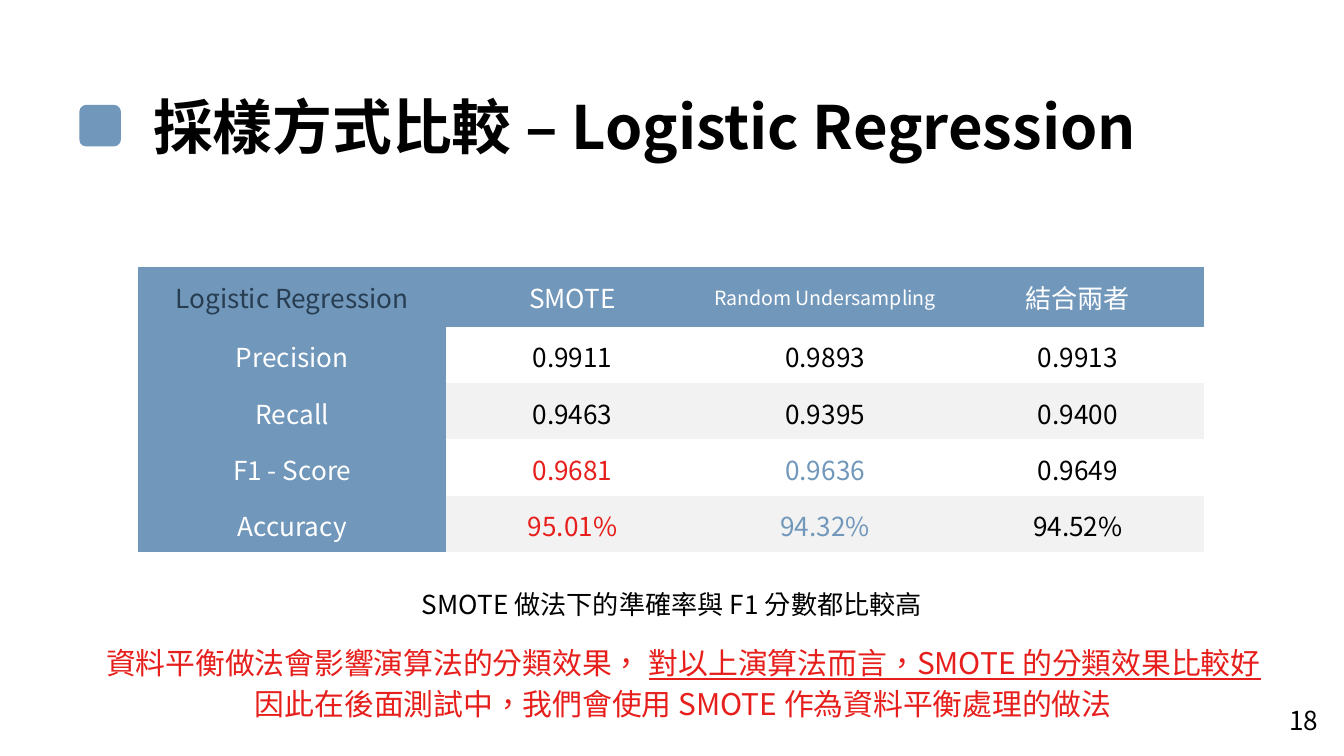
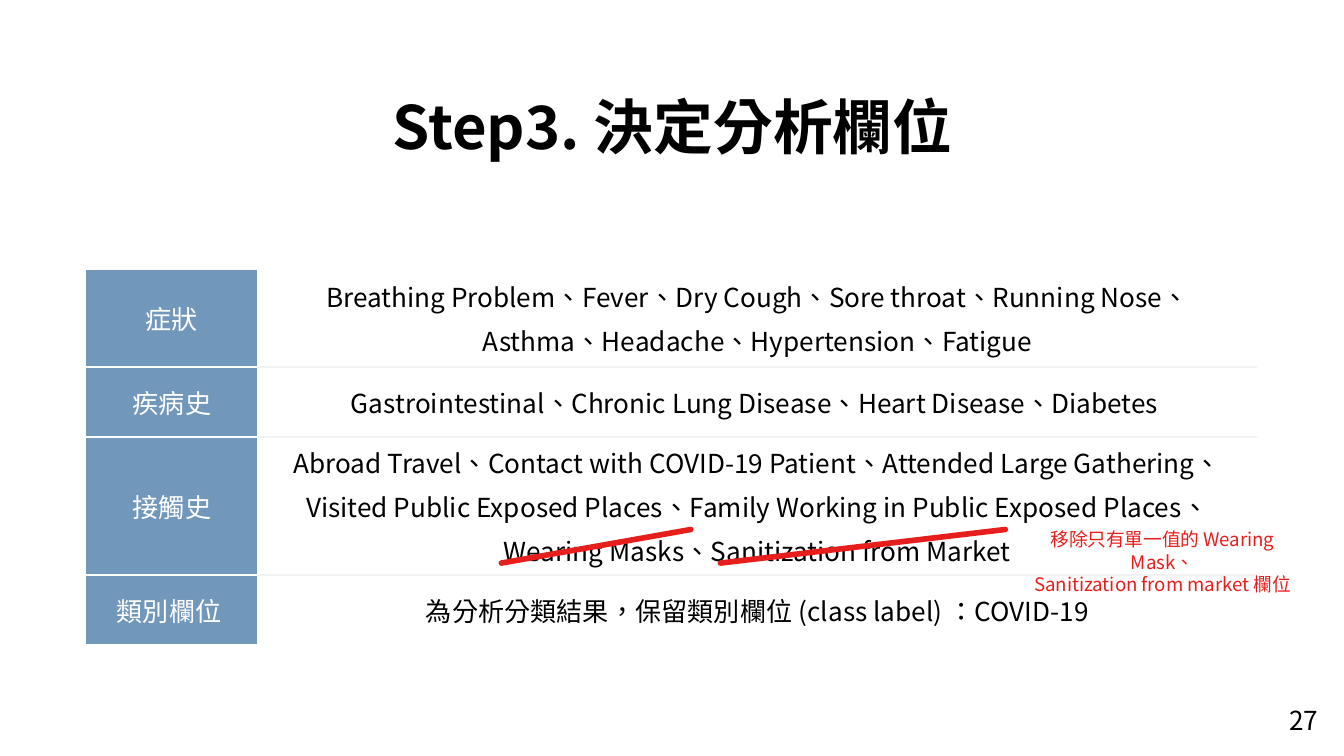
from lxml.etree import SubElement
from pptx import Presentation
from pptx.dml.color import RGBColor
from pptx.enum.shapes import MSO_CONNECTOR as CONNECTOR, MSO_SHAPE as SHAPE
from pptx.enum.text import MSO_ANCHOR as ANCHOR, MSO_AUTO_SIZE as FIT, PP_ALIGN as ALIGN
from pptx.oxml.ns import qn
from pptx.util import Inches, Pt

COLORS = {"blue": "7197BB", "navy": "273D51", "red": "E71F1C", "gray": "F2F2F2",
          "white": "FFFFFF", "black": "000000"}
FONT = "Noto Sans CJK JP"
PLAIN_STYLE = "{2D5ABB26-0587-4C30-8999-92F81FD0307C}"
SLIDE_WIDTH = Inches(10)

TITLE = {"size": Pt(32), "bold": True}
BODY = {"size": Pt(14)}
CONCLUSION = {"size": Pt(16)}
REMARK = {"size": Pt(10)}
CENTERED = {"alignment": ALIGN.CENTER}
LISTED = {**CENTERED, "space_after": Pt(3)}

METHODS = ["Logistic Regression", "SMOTE", "Random Undersampling", "結合兩者"]
SCORES = [
    ("Precision", "0.9911", "0.9893", "0.9913"),
    ("Recall", "0.9463", "0.9395", "0.9400"),
    ("F1 - Score", "0.9681", "0.9636", "0.9649"),
    ("Accuracy", "95.01%", "94.32%", "94.52%"),
]
FIELDS = [
    ("症狀", 0.73, ["Breathing Problem、Fever、Dry Cough、Sore throat、Running Nose、",
                  "Asthma、Headache、Hypertension、Fatigue"]),
    ("疾病史", 0.52, ["Gastrointestinal、Chronic Lung Disease、Heart Disease、Diabetes "]),
    ("接觸史", 1.03, ["Abroad Travel、Contact with COVID-19 Patient、Attended Large Gathering、",
                   "Visited Public Exposed Places、Family Working in Public Exposed Places、",
                   "Wearing Masks、Sanitization from Market"]),
    ("類別欄位 ", 0.52, ["為分析分類結果，保留類別欄位 (class label) ：COVID-19"]),
]


def rgb(color):
    """Return the palette colour of that name."""
    return RGBColor.from_string(COLORS[color])


def apply_format(target, values):
    """Set each attribute named in values on the target."""
    for attribute, value in values.items():
        setattr(target, attribute, value)


def write_run(paragraph, text, color, font):
    """Add one run in the deck font, for Latin and East Asian letters alike."""
    run = paragraph.add_run()
    run.text = text
    apply_format(run.font, {"name": FONT, **font})
    run.font.color.rgb = rgb(color)
    properties = run._r.get_or_add_rPr()
    properties.set("lang", "zh-TW")
    SubElement(properties, qn("a:ea"), typeface=FONT)


def write_lines(frame, lines, color="black", font=BODY, layout=CENTERED):
    """Write one paragraph per line; a line is text or (text, extra font) pairs."""
    for index, line in enumerate(lines):
        paragraph = frame.add_paragraph() if index else frame.paragraphs[0]
        apply_format(paragraph, layout)
        for text, extra in [(line, {})] if isinstance(line, str) else line:
            write_run(paragraph, text, color, {**font, **extra})


def add_text(shapes, box, lines, fit=FIT.SHAPE_TO_FIT_TEXT, **look):
    """Add a wrapping text box and return its text frame."""
    frame = shapes.add_textbox(*map(Inches, box)).text_frame
    apply_format(frame, {"word_wrap": True, "auto_size": fit})
    write_lines(frame, lines, **look)
    return frame


def add_title(slide, text, left, align):
    """Add the slide title."""
    add_text(slide.shapes, (left, 0.62, 8.41, 0.64), [text], font=TITLE,
             layout={"alignment": align})


def add_page_number(slide, number):
    """Add the page number in the bottom right corner."""
    add_text(slide.shapes, (9.4, 5.19, 0.6, 0.43), [str(number)], fit=FIT.NONE)


def add_plain_table(slide, left, top, widths, heights):
    """Add an unstyled table with the given column widths and row heights."""
    table = slide.shapes.add_table(
        len(heights), len(widths), Inches(left), Inches(top),
        Inches(sum(widths)), Inches(sum(heights))).table
    table._tbl.tblPr.find(qn("a:tableStyleId")).text = PLAIN_STYLE
    apply_format(table, {"first_row": False, "horz_banding": False})
    for column, width in zip(table.columns, widths):
        column.width = Inches(width)
    for row, height in zip(table.rows, heights):
        row.height = Inches(height)
    return table


def fill_cell(cell, lines, fill, margin=None, **look):
    """Fill a cell and write its lines in the middle."""
    cell.vertical_anchor = ANCHOR.MIDDLE
    if margin:
        sides = ("left", "right", "top", "bottom")
        apply_format(cell, {f"margin_{side}": Inches(margin) for side in sides})
    if fill:
        cell.fill.solid()
        cell.fill.fore_color.rgb = rgb(fill)
    else:
        cell.fill.background()
    write_lines(cell.text_frame, lines, **look)


def set_borders(cell, borders):
    """Draw one-point borders, given as side letter to colour in L, R, T, B order."""
    properties = cell._tc.get_or_add_tcPr()
    for index, (side, color) in enumerate(borders.items()):
        border = SubElement(properties, qn(f"a:ln{side}"), w=str(Pt(1)))
        paint = SubElement(border, qn("a:solidFill"))
        SubElement(paint, qn("a:srgbClr"), val=COLORS[color])
        properties.insert(index, border)


def add_strike(shapes, start, end):
    """Strike out a field with a round-ended red line."""
    strike = shapes.add_connector(CONNECTOR.STRAIGHT, *map(Inches, start + end))
    strike.line.color.rgb = rgb("red")
    strike.line.width = Pt(3)
    properties = strike._element.spPr
    properties.find(qn("a:ln")).set("cap", "rnd")
    SubElement(properties, qn("a:effectLst"))


def add_title_marker(slide):
    """Add the rounded square in front of the title."""
    marker = slide.shapes.add_shape(SHAPE.ROUNDED_RECTANGLE,
                                    *map(Inches, (0.59, 0.78, 0.31, 0.31)))
    marker.shadow.inherit = False
    marker.fill.solid()
    marker.fill.fore_color.rgb = rgb("blue")
    marker.line.fill.background()


def add_score_table(slide):
    """Add the scores by sampling method, best in red and worst in blue."""
    table = add_plain_table(slide, 1.03, 1.99, [2.29] + [1.88] * 3, [0.44] + [0.42] * 4)
    highlights = {1: "red", 2: "blue"}
    for row, texts in enumerate([METHODS, *SCORES]):
        for column, text in enumerate(texts):
            if row == 0 or column == 0:
                fill, color = "blue", "white" if row or column else "navy"
            else:
                fill = None if row % 2 else "gray"
                color = highlights.get(column, "black") if row > 2 else "black"
            font = {"size": Pt(10.5)} if (row, column) == (0, 2) else BODY
            fill_cell(table.cell(row, column), [text], fill, 0.08, color=color, font=font)


def add_field_table(slide):
    """Add the field groups with their fields."""
    table = add_plain_table(slide, 0.64, 2, [1.28, 7.43],
                            [height for _, height, _ in FIELDS])
    for row, (group, _, fields) in enumerate(FIELDS):
        heading, listing = table.cell(row, 0), table.cell(row, 1)
        fill_cell(heading, [group], "blue", color="white")
        fill_cell(listing, fields, "white", layout=LISTED if len(fields) > 1 else CENTERED)
        top = "gray" if row else "white"
        bottom = "gray" if row < len(FIELDS) - 1 else "white"
        set_borders(heading, dict.fromkeys("RTB", "white"))
        set_borders(listing, {"L": "white", "R": "white", "T": top, "B": bottom})


def build_comparison(slide):
    """Build the comparison of sampling methods."""
    add_title(slide, "採樣方式比較 – Logistic Regression", 1.04, ALIGN.LEFT)
    add_page_number(slide, 18)
    conclusion = add_text(
        slide.shapes, (0, 4.71, 10, 0.7),
        [[("資料平衡做法會影響演算法的分類效果， ", {}),
          ("對以上演算法而言，SMOTE 的分類效果比較好", {"underline": True})],
         "因此在後面測試中，我們會使用 SMOTE 作為資料平衡處理的做法"],
        color="red", font=CONCLUSION, layout={**CENTERED, "line_spacing": 1.14})
    for paragraph in conclusion.paragraphs:
        properties = paragraph._p.get_or_add_pPr()
        properties.set("marL", str(Inches(0.17)))
        properties.set("indent", "0")
    add_score_table(slide)
    add_text(slide.shapes, (0, 4.33, 10, 0.34), ["SMOTE 做法下的準確率與 F1 分數都比較高"])
    add_title_marker(slide)


def build_field_choice(slide):
    """Build the choice of fields for the analysis."""
    add_field_table(slide)
    removal = slide.shapes.add_group_shape().shapes
    for left, right in ((3.73, 5.14), (5.36, 7.48)):
        add_strike(removal, (left, 4.19), (right, 3.94))
    add_text(removal, (7.5, 3.88, 2.3, 0.44),
             ["移除只有單一值的 Wearing Mask、", "Sanitization from market 欄位"],
             color="red", font=REMARK)
    add_page_number(slide, 27)
    add_title(slide, "Step3. 決定分析欄位", 0.8, ALIGN.CENTER)


def main():
    """Build and save the deck."""
    deck = Presentation()
    apply_format(deck, {"slide_width": SLIDE_WIDTH, "slide_height": SLIDE_WIDTH * 9 // 16})
    blank = deck.slide_layouts[6]
    for build in (build_comparison, build_field_choice):
        build(deck.slides.add_slide(blank))
    deck.save("out.pptx")


if __name__ == "__main__":
    main()
